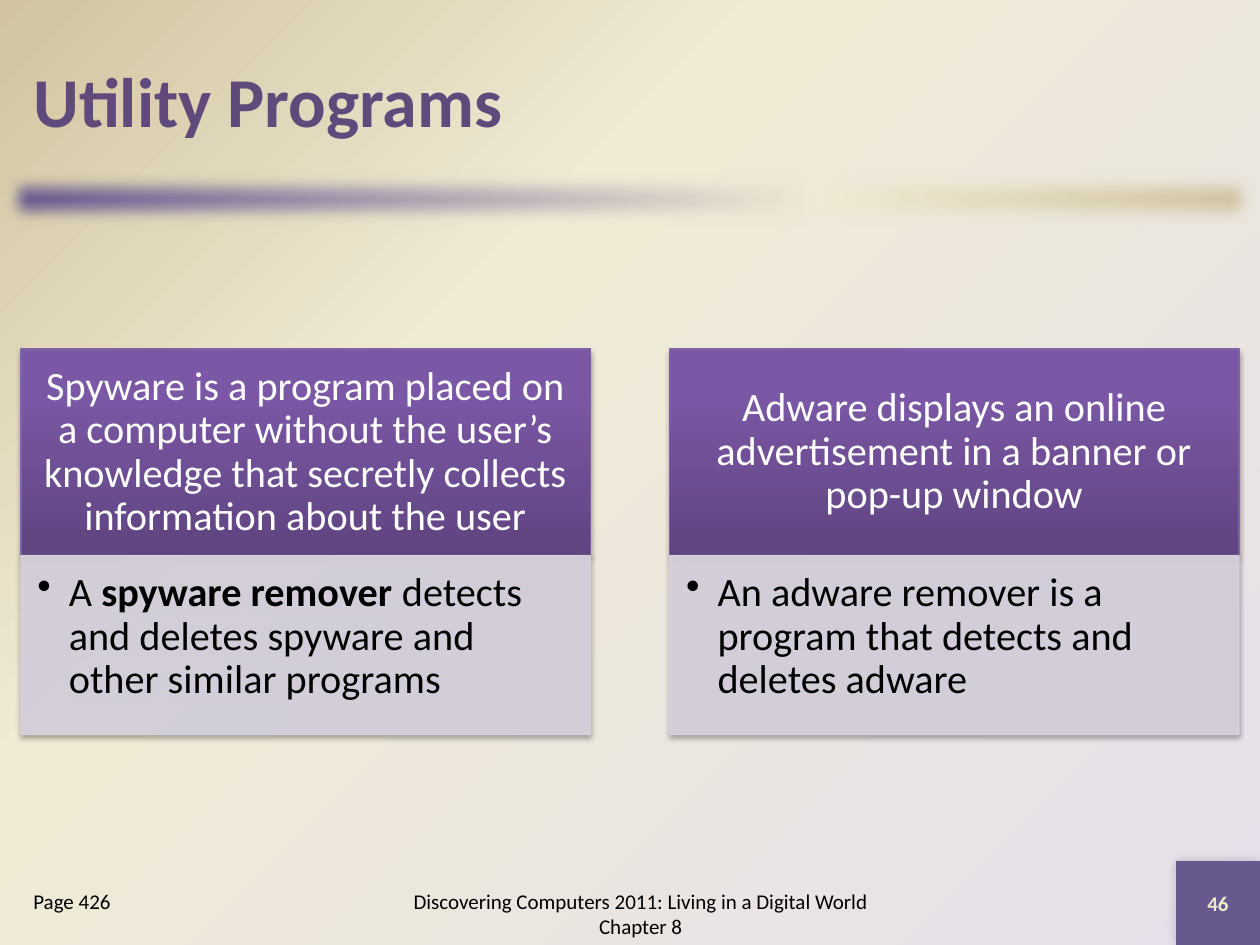
from lxml.etree import SubElement as Sub
from pptx import Presentation
from pptx.dml.color import RGBColor as RGB
from pptx.enum.shapes import MSO_SHAPE as SHAPE
from pptx.enum.text import MSO_ANCHOR as ANCHOR, PP_ALIGN as ALIGN
from pptx.oxml.ns import qn
from pptx.util import Inches, Pt

W, H = 10, 7.5
TITLE = "Utility Programs"
PAGE = "Page 426"
FOOTER = "Discovering Computers 2011: Living in a Digital World Chapter 8"
NUMBER = "46"
CARDS = [
    ("Spyware is a program placed on a computer without the user’s knowledge "
     "that secretly collects information about the user",
     [("A ", False), ("spyware remover", True),
      (" detects and deletes spyware and other similar programs", False)]),
    ("Adware displays an online advertisement in a banner or pop-up window",
     [("An adware remover is a program that detects and deletes adware", False)]),
]
C = {"title": "604A7B", "accent": "67588E", "cream": "F0EBD5", "tan": "D1C39F",
     "lilac": "E6E0EC", "edge": "8064A2", "panel": "D8D3E0", "white": "FFFFFF",
     "black": "000000", "number": "EEEBCA"}
HEAD_STOPS = [(0, "5F4480"), (80, "7B58A6"), (100, "7C57A8")]
BAR_STOPS = [(0, C["accent"]), (65, C["cream"]), (100, C["tan"])]
BG_STOPS = [(0, C["lilac"]), (65, C["cream"]), (100, C["tan"])]
MARGIN, GAP = W / 60, 0.63
CARD_W = (W - 2 * MARGIN - GAP) / 2
CARD_TOP, HEAD_H, BODY_H = 2.77, 1.64, 1.42
BADGE = W / 15
INSETS = ("margin_left", "margin_top", "margin_right", "margin_bottom")


def add(parent, tag, **attrs):
    """Append a DrawingML child element with the given attributes."""
    return Sub(parent, qn("a:" + tag), {k: str(v) for k, v in attrs.items()})


def gradient(fill, element, stops, angle=None):
    """Fill with a linear gradient, or a radial one when no angle is given."""
    fill.gradient()
    g = next(element.iter(qn("a:gradFill")))
    for child in list(g):
        g.remove(child)
    g.set("rotWithShape", "1")
    gs_list = add(g, "gsLst")
    for pos, color in stops:
        add(add(gs_list, "gs", pos=pos * 1000), "srgbClr", val=color)
    if angle is None:
        radial = add(g, "path", path="circle")
        add(radial, "fillToRect", l=100000, t=100000)
    else:
        add(g, "lin", ang=angle * 60000, scaled=0)


def box(s, at, fill=None, stops=None, angle=0, line=None, alpha=None, shadow=None, soft=None):
    """Add a rectangle with its fill, outline and effect."""
    sp = s.shapes.add_shape(SHAPE.RECTANGLE, *map(Inches, at))
    pr = sp._element.spPr
    if stops:
        gradient(sp.fill, pr, stops, angle)
    else:
        sp.fill.solid()
        sp.fill.fore_color.rgb = RGB.from_string(fill)
    if line:
        sp.line.color.rgb = RGB.from_string(line)
        sp.line.width = Pt(0.75)
    else:
        sp.line.fill.background()
    if alpha:
        for color in pr.iter(qn("a:srgbClr")):
            add(color, "alpha", val=alpha * 1000)
    sp.shadow.inherit = False
    effects = pr.find(qn("a:effectLst"))
    if shadow:
        opacity, blur, dist, direction = shadow
        sh = add(effects, "outerShdw", blurRad=Pt(blur), dist=Pt(dist),
                 dir=direction * 60000, rotWithShape=0)
        add(add(sh, "srgbClr", val=C["black"]), "alpha", val=opacity * 1000)
    if soft:
        add(effects, "softEdge", rad=Pt(soft))
    return sp


def write(sp, runs, size, color, bold=False, align=ALIGN.LEFT, anchor=ANCHOR.MIDDLE,
          insets=(0.1, 0.05, 0.1, 0.05), spacing=None, bullet=False):
    """Write one paragraph of (text, bold) runs, or a plain string, in a shape."""
    tf = sp.text_frame
    tf.word_wrap, tf.vertical_anchor = True, anchor
    for name, inset in zip(INSETS, insets):
        setattr(tf, name, Inches(inset))
    p = tf.paragraphs[0]
    for name, value in {"alignment": align, "line_spacing": spacing}.items():
        setattr(p, name, value)
    if bullet:
        pr = p._p.get_or_add_pPr()
        pr.set("marL", str(Inches(0.25)))
        pr.set("indent", str(-Inches(0.25)))
        add(pr, "buChar", char="•")
    for text, strong in [(runs, bold)] if isinstance(runs, str) else runs:
        r = p.add_run()
        r.text = text
        for name, value in {"name": "Calibri", "size": Pt(size), "bold": strong}.items():
            setattr(r.font, name, value)
        r.font.color.rgb = RGB.from_string(color)


def label(s, at, text, size, color, **fmt):
    """Add a text box with one paragraph."""
    write(s.shapes.add_textbox(*map(Inches, at)), text, size, color, **fmt)


def card(s, col, head, body):
    """Add one column: a heading block over a bulleted panel."""
    x = MARGIN + col * (CARD_W + GAP)
    shadow = (35, 3.1, 1.8, 90)
    sp = box(s, (x, CARD_TOP, CARD_W, HEAD_H), stops=HEAD_STOPS, angle=270,
             line=C["edge"], shadow=shadow)
    write(sp, head, 23, C["white"], align=ALIGN.CENTER, spacing=0.9,
          insets=(0.18, 0.1, 0.18, 0.1))
    sp = box(s, (x, CARD_TOP + HEAD_H, CARD_W, BODY_H), fill=C["panel"],
             line=C["panel"], alpha=90, shadow=shadow)
    write(sp, body, 23, C["black"], anchor=ANCHOR.TOP, spacing=0.9,
          insets=(0.13, 0.13, 0.18, 0.2), bullet=True)


def main():
    """Build the slide and save it."""
    prs = Presentation()
    prs.slide_width, prs.slide_height = Inches(W), Inches(H)
    s = prs.slides.add_slide(prs.slide_layouts[6])
    gradient(s.background.fill, s._element, BG_STOPS)
    box(s, (0, 1.33, W, 0.5), stops=BAR_STOPS, soft=10)
    badge = box(s, (W - BADGE, H - BADGE, BADGE, BADGE), fill=C["accent"],
                shadow=(20, 6, 0, 225))
    write(badge, NUMBER, 12, C["number"], bold=True, align=ALIGN.CENTER)
    label(s, (MARGIN, MARGIN, W - 2 * MARGIN, 1.25), TITLE, 40, C["title"], bold=True)
    for col, (head, body) in enumerate(CARDS):
        card(s, col, head, body)
    label(s, (3, 7, 4.17, 0.5), FOOTER, 12, C["black"], align=ALIGN.CENTER)
    label(s, (MARGIN, 7, 1.83, 0.5), PAGE, 12, C["black"], anchor=ANCHOR.TOP)
    prs.save("out.pptx")


if __name__ == "__main__":
    main()
